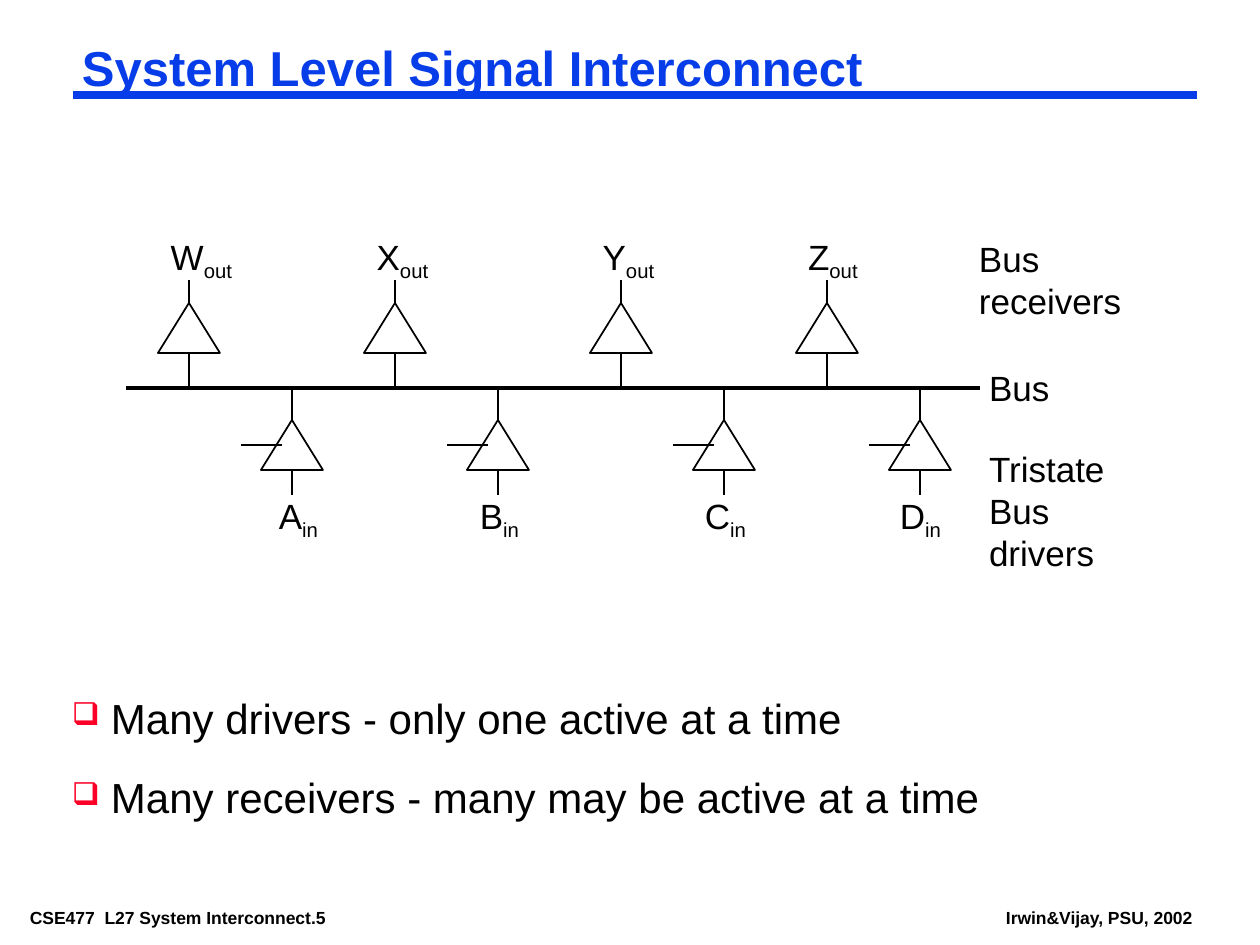
from lxml.etree import SubElement
from pptx import Presentation
from pptx.dml.color import RGBColor
from pptx.enum.shapes import MSO_CONNECTOR, MSO_SHAPE
from pptx.enum.text import MSO_ANCHOR, MSO_AUTO_SIZE, PP_ALIGN
from pptx.oxml.ns import qn
from pptx.util import Emu, Pt


def px(length):
    return Emu(round(length * 914400 / 126))


def color(hex_string):
    return RGBColor.from_string(hex_string)


class InterconnectSlide:
    """Draws the parts of the bus diagram slide in one style."""

    FONT = "Arial"
    INK = "000000"
    ACCENT = "063DE8"
    BULLET = "FC0128"
    WIDE_INSET = (13, 6)
    TIGHT_INSET = (9, 4)

    def __init__(self, deck):
        self.slide = deck.slides.add_slide(deck.slide_layouts[5])

    def style_run(self, run, size, ink=INK, bold=False):
        run.font.name = self.FONT
        run.font.size = Pt(size)
        run.font.bold = bold
        run.font.color.rgb = color(ink)

    def frame(self, holder, box, inset, anchor=MSO_ANCHOR.TOP, wrap=True):
        holder.left, holder.top, holder.width, holder.height = map(px, box)
        frame = holder.text_frame
        frame.auto_size = MSO_AUTO_SIZE.NONE
        frame.word_wrap = wrap
        frame.vertical_anchor = anchor
        frame.margin_left = frame.margin_right = px(inset[0])
        frame.margin_top = frame.margin_bottom = px(inset[1])
        return frame

    def title(self, wording, box):
        frame = self.frame(self.slide.shapes.title, box, self.TIGHT_INSET)
        frame.text = wording
        heading = frame.paragraphs[0]
        heading.alignment = PP_ALIGN.LEFT
        heading.line_spacing = 0.87
        self.style_run(heading.runs[0], 28, self.ACCENT, bold=True)

    def text(self, wording, box, size=20, bold=False, inset=WIDE_INSET,
             anchor=MSO_ANCHOR.MIDDLE, wrap=True):
        holder = self.slide.shapes.add_textbox(*map(px, box))
        frame = self.frame(holder, box, inset, anchor, wrap)
        frame.text = wording
        for paragraph in frame.paragraphs:
            for run in paragraph.runs:
                self.style_run(run, size, bold=bold)
        return frame

    def signal(self, letter, subscript, box):
        frame = self.text(letter, box, wrap=False)
        label = frame.paragraphs[0]
        label.alignment = PP_ALIGN.CENTER
        suffix = label.add_run()
        suffix.text = subscript
        self.style_run(suffix, 20)
        suffix.font._element.set("baseline", "-25000")

    def bullets(self, wording, box):
        frame = self.text(wording, box, 24, inset=self.TIGHT_INSET,
                          anchor=MSO_ANCHOR.TOP)
        for point in frame.paragraphs:
            point.line_spacing = 0.9
            point.space_before = Pt(19.5)
            properties = point._p.get_or_add_pPr()
            properties.set("marL", str(px(39)))
            properties.set("indent", str(px(-39)))
            tint = SubElement(properties, qn("a:buClr"))
            SubElement(tint, qn("a:srgbClr"), val=self.BULLET)
            SubElement(properties, qn("a:buSzPct"), val="75000")
            SubElement(properties, qn("a:buChar"), char="❑")

    def line(self, start, end, weight=1, ink=INK):
        wire = self.slide.shapes.add_connector(
            MSO_CONNECTOR.STRAIGHT, *map(px, (*start, *end)))
        wire.line.color.rgb = color(ink)
        wire.line.width = Pt(weight)
        SubElement(wire._element.spPr, qn("a:effectLst"))
        return wire

    def buffer(self, center, top, lead_top, lead_bottom):
        width, height = 62, 50
        gate = self.slide.shapes.add_shape(
            MSO_SHAPE.FLOWCHART_EXTRACT,
            *map(px, (center - width // 2, top, width, height)))
        gate.shadow.inherit = False
        gate.fill.background()
        gate.line.color.rgb = color(self.INK)
        gate.line.width = Pt(1)
        self.line((center, lead_top), (center, top)).end_connect(gate, 0)
        self.line((center, top + height),
                  (center, lead_bottom)).begin_connect(gate, 2)


def main():
    deck = Presentation()
    deck.slide_width, deck.slide_height = px(1260), px(945)
    page = InterconnectSlide(deck)

    page.line((73, 95), (1197, 95), 4.5, page.ACCENT)
    page.title("System Level Signal Interconnect", (73, 42, 1124, 58))

    bus = 388
    receivers = [("W", 189, 87), ("X", 395, 77), ("Y", 621, 77), ("Z", 827, 74)]
    for letter, center, label_width in receivers:
        page.buffer(center, 303, 280, bus)
        page.signal(letter, "out", (center - 31, 229, label_width, 60))

    drivers = [("A", 292, 266), ("B", 498, 467), ("C", 724, 693), ("D", 920, 888)]
    for letter, center, label_left in drivers:
        page.buffer(center, 420, bus, 495)
        page.line((center - 51, 445), (center - 10, 445))
        page.signal(letter, "in", (label_left, 488, 65, 60))

    page.line((126, bus), (980, bus), 2.25)
    page.text("Bus\nreceivers", (966, 231, 168, 97), wrap=False)
    page.text("Bus", (976, 359, 130, 56))
    page.text("Tristate\nBus\ndrivers", (976, 441, 158, 139))

    page.bullets("Many drivers - only one active at a time\n"
                 "Many receivers - many may be active at a time",
                 (63, 694, 1166, 130))

    footers = [("CSE477  L27 System Interconnect.5", 21, 388, True),
               ("Irwin&Vijay, PSU, 2002", 997, 205, False)]
    for wording, left, width, wrap in footers:
        page.text(wording, (left, 903, width, 28), 10, bold=True,
                  inset=page.TIGHT_INSET, anchor=MSO_ANCHOR.TOP, wrap=wrap)

    deck.save("out.pptx")


if __name__ == "__main__":
    main()
